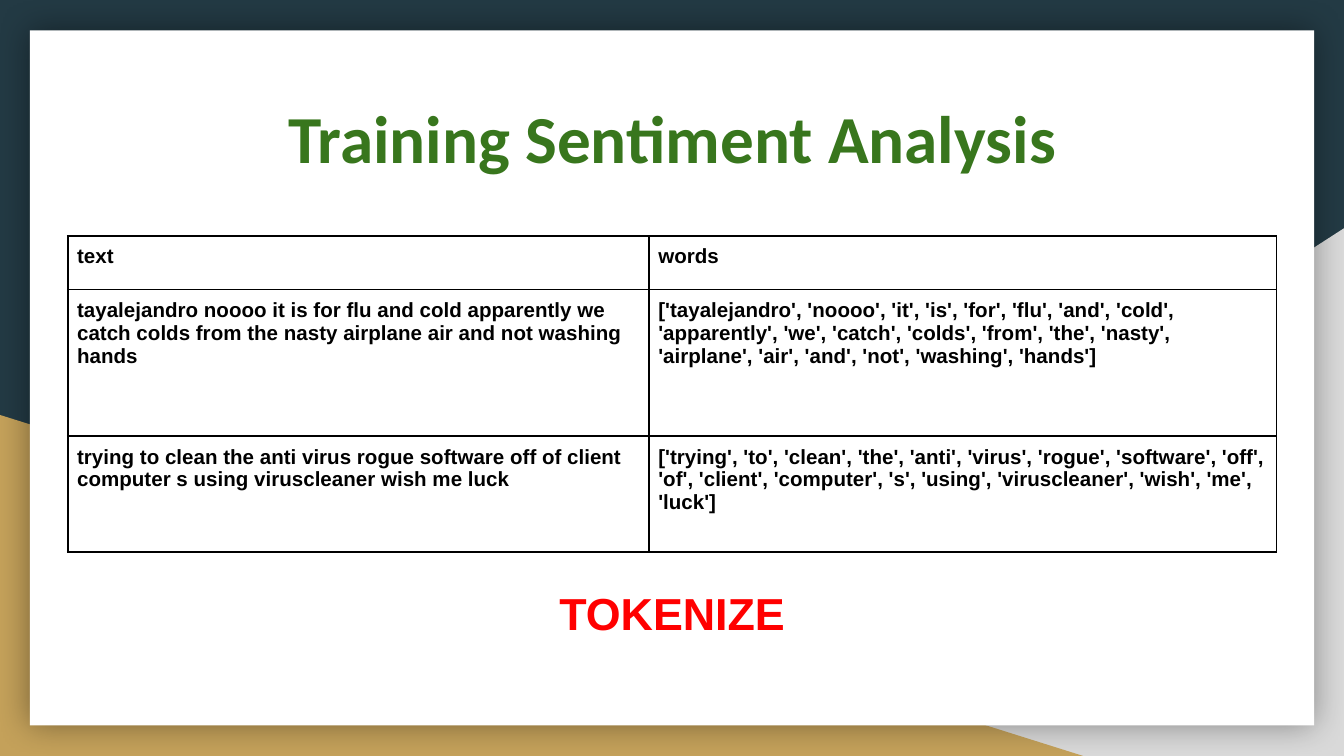
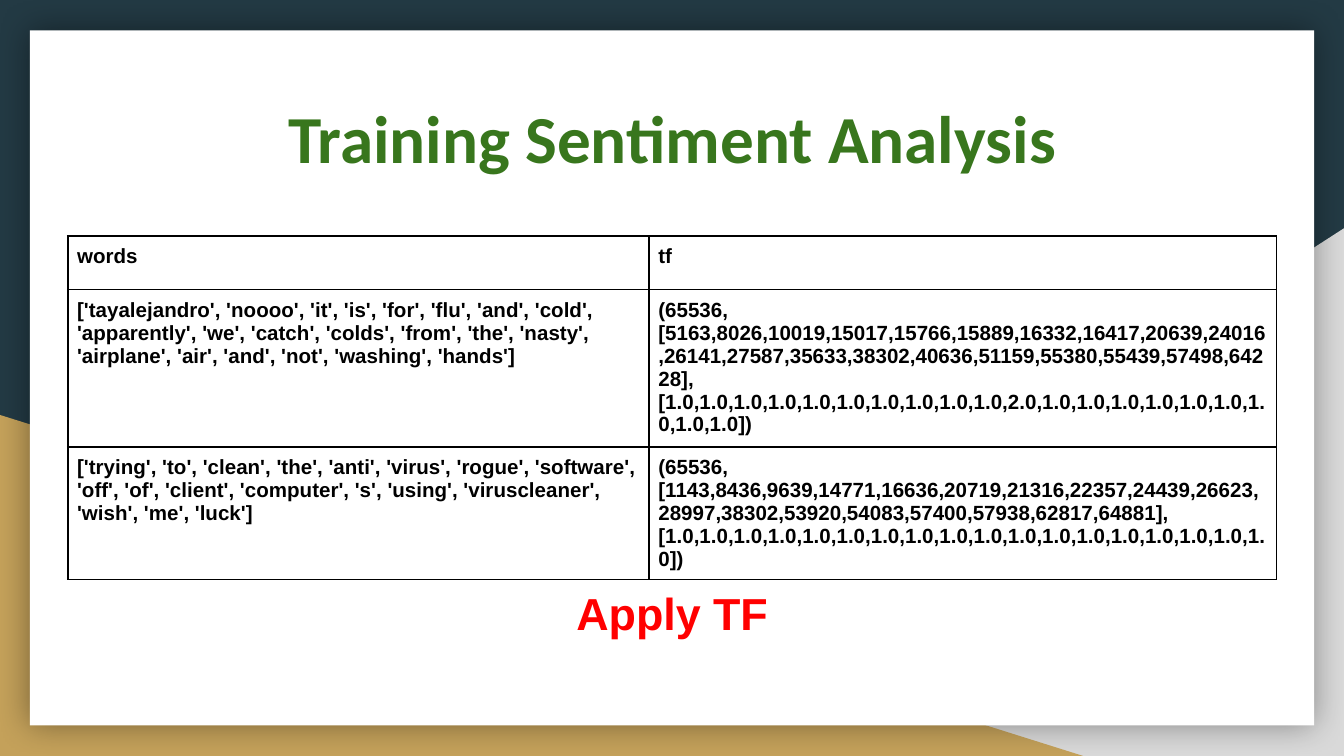
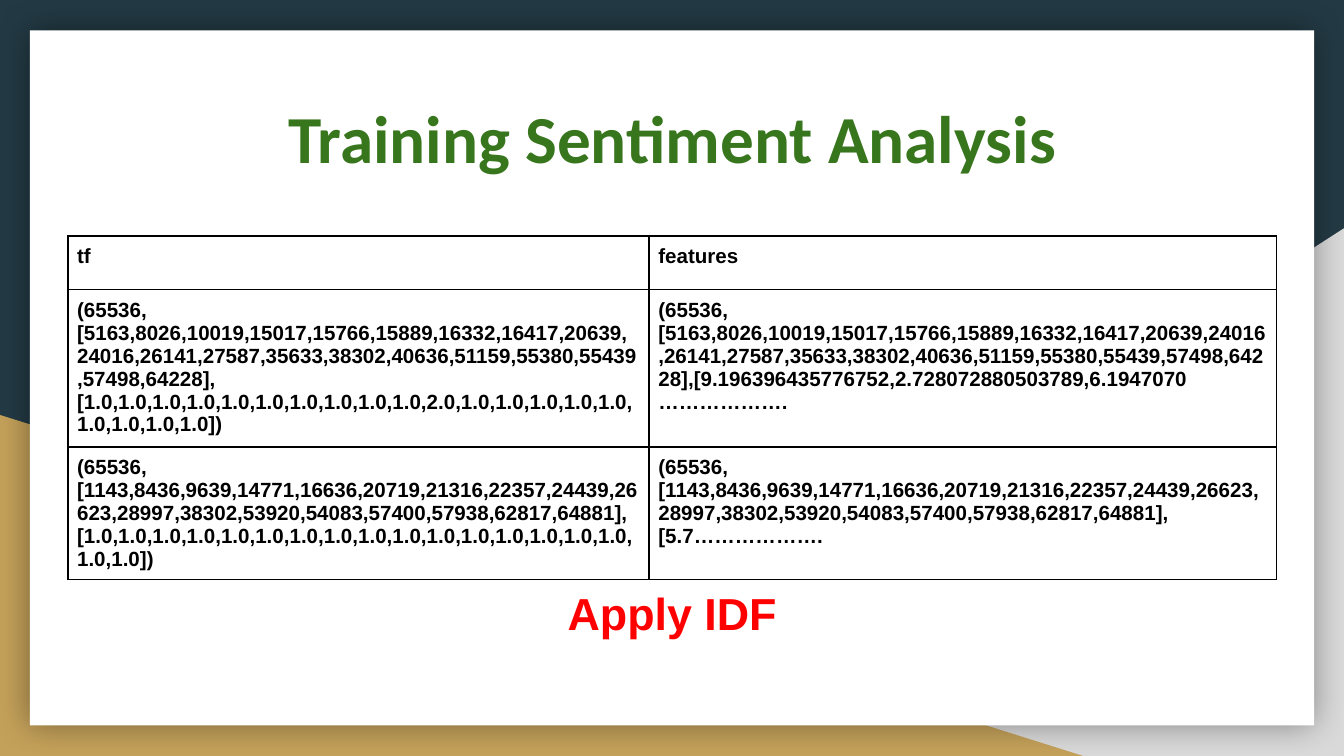
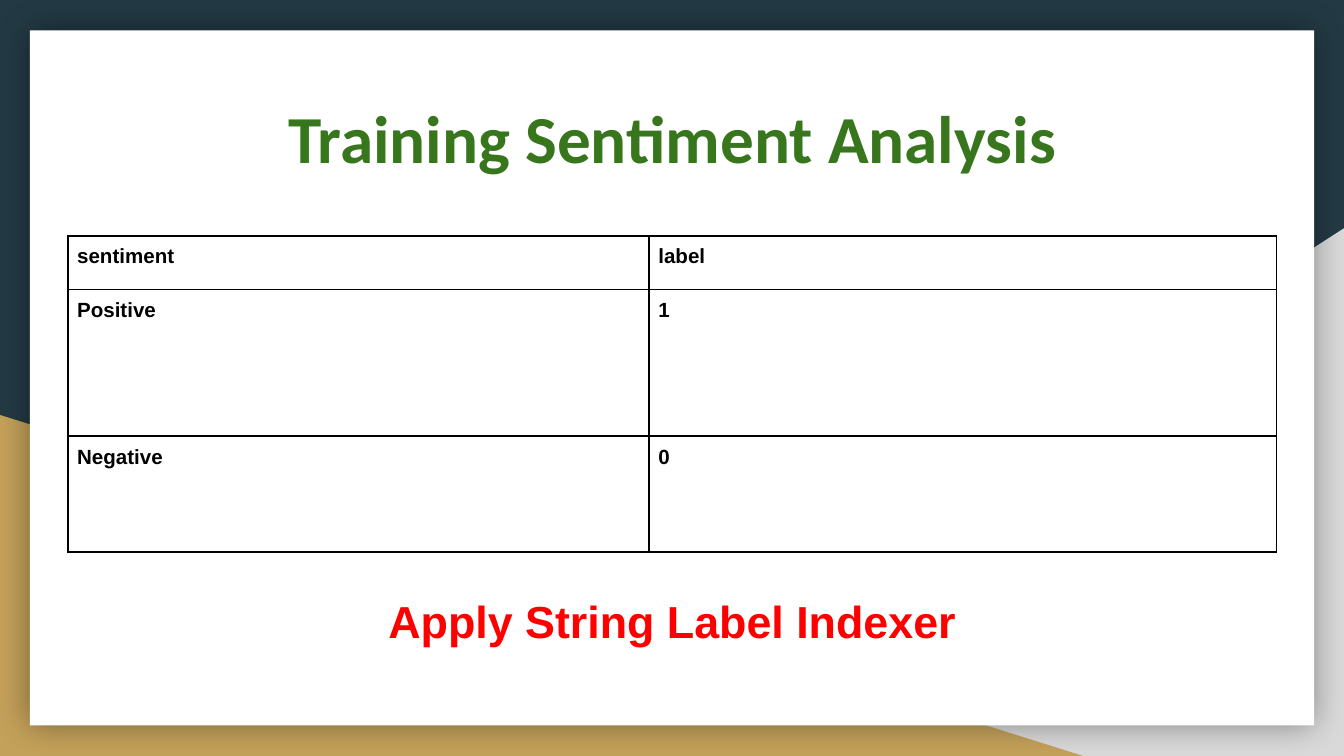
from dataclasses import dataclass

from lxml import etree
from pptx import Presentation
from pptx.dml.color import RGBColor
from pptx.enum.shapes import MSO_SHAPE
from pptx.enum.text import MSO_ANCHOR, PP_ALIGN
from pptx.oxml.ns import qn
from pptx.util import Pt

RECT = MSO_SHAPE.RECTANGLE
WEDGE = MSO_SHAPE.RIGHT_TRIANGLE
TOP = MSO_ANCHOR.TOP
MIDDLE = MSO_ANCHOR.MIDDLE
CENTER = PP_ALIGN.CENTER
BLANK = 6


@dataclass(frozen=True)
class Theme:
    navy: str = "233A44"
    gray: str = "D9D9D9"
    gold: str = "C4A15A"
    white: str = "FFFFFF"
    black: str = "000000"
    green: str = "38761D"
    red: str = "FF0000"
    head: str = "Calibri"
    body: str = "Arial"
    title: int = 36
    step: int = 24
    cell: int = 11


TITLE = "Training Sentiment Analysis"
COLS = (311.4, 336.1)
ROWS = (28.8, 78.5, 62)
STEP_BOX = (285.6, 304.5, 149, 46.8)
WIDE_BOX = (184.1, 308.8, 352, 46.8)

FLU = ("tayalejandro noooo it is for flu and cold apparently we catch colds "
       "from the nasty airplane air and not washing hands")
VIRUS = ("trying to clean the anti virus rogue software off of client "
         "computer s using viruscleaner wish me luck")
FLU_IDS = ("5163,8026,10019,15017,15766,15889,16332,16417,20639,24016,26141,"
           "27587,35633,38302,40636,51159,55380,55439,57498,64228")
VIRUS_IDS = ("1143,8436,9639,14771,16636,20719,21316,22357,24439,26623,28997,"
             "38302,53920,54083,57400,57938,62817,64881")
FLU_TF = ["1.0"] * 10 + ["2.0"] + ["1.0"] * 9
VIRUS_TF = ["1.0"] * 18
DOTS = "………………."


def vector(ids, rest):
    """Write a sparse vector: size, indices, then the values given."""
    return f"(65536,[{ids}],[{rest}"


def counts(ids, values):
    return vector(ids, ",".join(values) + "])")


def words(text):
    return str(text.split())


class Deck:
    def __init__(self, theme):
        self.theme = theme
        self.prs = Presentation()
        self.prs.slide_width = Pt(720)
        self.prs.slide_height = Pt(405)
        self.slide = None

    def style(self, para, size, color, font):
        para.font.size = Pt(size)
        para.font.bold = True
        para.font.name = font
        para.font.color.rgb = RGBColor.from_string(color)

    def shape(self, kind, box, color, flip=False):
        shape = self.slide.shapes.add_shape(kind, *map(Pt, box))
        shape.shadow.inherit = False
        shape.fill.solid()
        shape.fill.fore_color.rgb = RGBColor.from_string(color)
        shape.line.fill.background()
        if flip:
            shape.element.spPr.find(qn("a:xfrm")).set("flipH", "1")
        return shape

    def glow(self, shape, blur, alpha):
        """Add a soft, centred shadow; alpha is in percent."""
        effects = shape.element.spPr.find(qn("a:effectLst"))
        shadow = etree.SubElement(effects, qn("a:outerShdw"),
                                  blurRad=str(Pt(blur)), dist="0", dir="0",
                                  algn="ctr", rotWithShape="0")
        color = etree.SubElement(shadow, qn("a:srgbClr"), val=self.theme.black)
        etree.SubElement(color, qn("a:alpha"), val=str(alpha * 1000))

    def text(self, text, box, size, color, font, anchor):
        frame = self.slide.shapes.add_textbox(*map(Pt, box)).text_frame
        frame.word_wrap = True
        frame.vertical_anchor = anchor
        frame.margin_left = frame.margin_right = Pt(7.2)
        frame.margin_top = frame.margin_bottom = Pt(7.2)
        para = frame.paragraphs[0]
        para.text = text
        para.alignment = CENTER
        self.style(para, size, color, font)

    def border(self, cell):
        props = cell._tc.get_or_add_tcPr()
        for at, side in enumerate(("lnL", "lnR", "lnT", "lnB")):
            line = etree.Element(qn(f"a:{side}"), w=str(Pt(1)))
            fill = etree.SubElement(line, qn("a:solidFill"))
            etree.SubElement(fill, qn("a:srgbClr"), val=self.theme.black)
            props.insert(at, line)

    def table(self, data):
        t = self.theme
        table = self.slide.shapes.add_table(
            len(ROWS), len(COLS), Pt(36.3), Pt(126.4),
            Pt(sum(COLS)), Pt(sum(ROWS))).table
        for col, width in zip(table.columns, COLS):
            col.width = Pt(width)
        for row, height, texts in zip(table.rows, ROWS, data):
            row.height = Pt(height)
            for cell, text in zip(row.cells, texts):
                cell.text = text
                cell.fill.background()
                cell.margin_left = cell.margin_right = cell.margin_top = Pt(5)
                # No bottom margin, so full rows stay clear of the step name
                cell.margin_bottom = Pt(0)
                self.border(cell)
                for para in cell.text_frame.paragraphs:
                    self.style(para, t.cell, t.black, t.body)

    def page(self, data, step, box=STEP_BOX):
        t = self.theme
        self.slide = self.prs.slides.add_slide(self.prs.slide_layouts[BLANK])
        back = self.slide.background.fill
        back.solid()
        back.fore_color.rgb = RGBColor.from_string(t.navy)
        self.shape(WEDGE, (282.2, 122.3, 437.8, 282.7), t.gray, flip=True)
        self.shape(WEDGE, (0, 222.3, 580.3, 182.7), t.gold)
        panel = self.shape(RECT, (16, 16.3, 688, 372.4), t.white)
        self.glow(panel, 18, 40)
        self.text(TITLE, (36.5, 44.5, 647.3, 54.7), t.title, t.green, t.head, TOP)
        self.table(data)
        self.text(step, box, t.step, t.red, t.body, MIDDLE)


def main():
    deck = Deck(Theme())
    flu_tf = counts(FLU_IDS, FLU_TF)
    virus_tf = counts(VIRUS_IDS, VIRUS_TF)
    flu_idf = vector(FLU_IDS, "9.196396435776752,2.728072880503789,6.1947070")
    virus_idf = vector(VIRUS_IDS, "5.7")

    deck.page([("text", "words"), (FLU, words(FLU)), (VIRUS, words(VIRUS))],
              "TOKENIZE")
    deck.page([("words", "tf"), (words(FLU), flu_tf), (words(VIRUS), virus_tf)],
              "Apply TF")
    deck.page([("tf", "features"),
               (flu_tf, f"{flu_idf}\n{DOTS}"),
               (virus_tf, virus_idf + DOTS)],
              "Apply IDF")
    deck.page([("sentiment", "label"), ("Positive", "1"), ("Negative", "0")],
              "Apply String Label Indexer", WIDE_BOX)
    deck.prs.save("out.pptx")


if __name__ == "__main__":
    main()
